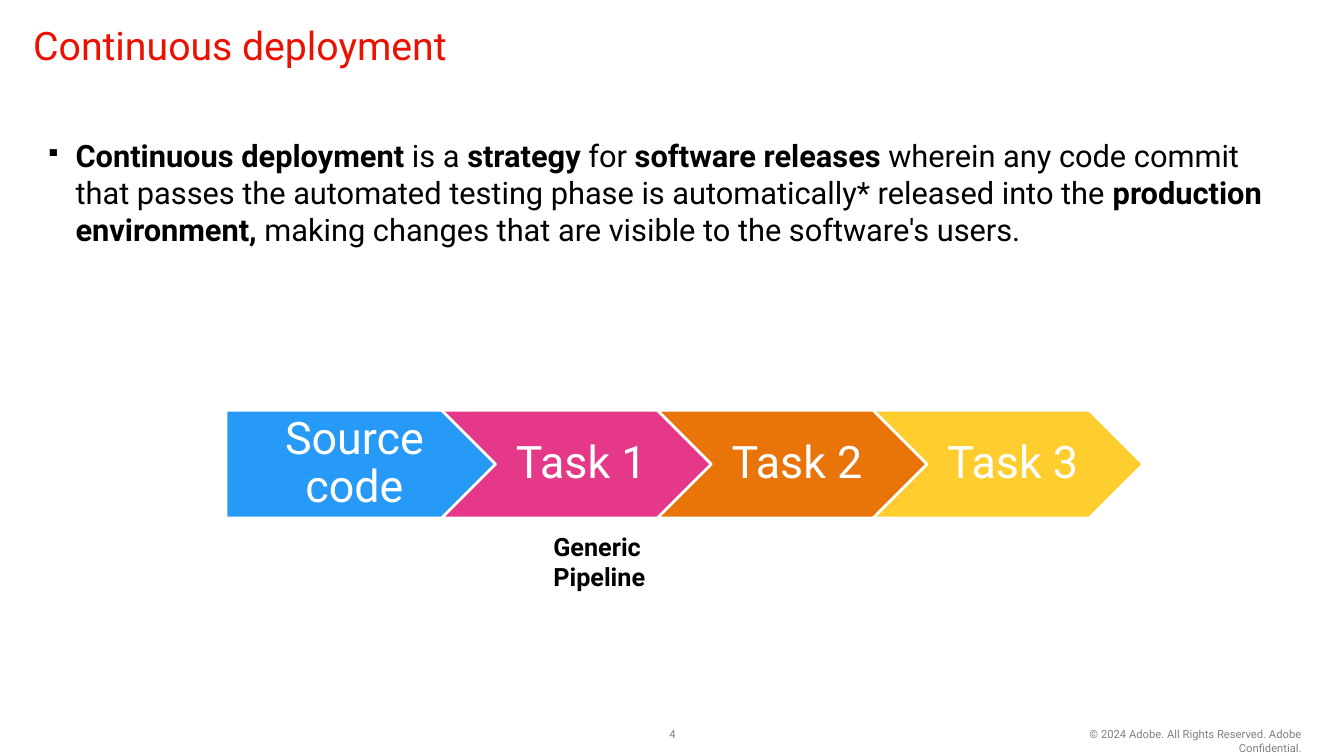
from dataclasses import dataclass

from lxml.etree import SubElement
from pptx import Presentation
from pptx.dml.color import RGBColor
from pptx.enum.shapes import MSO_SHAPE
from pptx.enum.text import MSO_ANCHOR, PP_ALIGN
from pptx.oxml.ns import qn
from pptx.util import Emu, Pt

PX = 9144  # 100 px to the inch


@dataclass(frozen=True)
class Theme:
    font: str = "Roboto"
    red: str = "EB1000"
    black: str = "000000"
    white: str = "FFFFFF"
    grey: str = "808080"
    stages: tuple = ("2799F6", "E63888", "E9740A", "FFCE2E")
    title_size: int = 28
    body_size: int = 22
    stage_size: int = 32
    caption_size: int = 18
    footer_size: int = 8


THEME = Theme()


def px(length):
    return Emu(length * PX)


def apply(target, values):
    for name, value in values.items():
        setattr(target, name, value)


def set_margins(frame, left, top, right, bottom):
    apply(frame, {
        "margin_left": px(left), "margin_top": px(top),
        "margin_right": px(right), "margin_bottom": px(bottom),
    })


def add_span(para, text, size, color, bold=False):
    span = para.add_run()
    span.text = text
    apply(span.font, {"name": THEME.font, "size": Pt(size), "bold": bold})
    span.font.color.rgb = RGBColor.from_string(color)


def add_text(page, place, spans, size, color, margins=(10, 5, 10, 5),
             anchor=MSO_ANCHOR.TOP, align=PP_ALIGN.LEFT):
    """Add a text box from (text, bold) spans and return its paragraph."""
    box = page.shapes.add_textbox(*map(px, place))
    frame = box.text_frame
    apply(frame, {"word_wrap": True, "vertical_anchor": anchor})
    set_margins(frame, *margins)
    para = frame.paragraphs[0]
    para.alignment = align
    for text, bold in spans:
        add_span(para, text, size, color, bold)
    return para


def add_bullet(para, mark, indent, percent, color):
    properties = para._p.get_or_add_pPr()
    properties.set("marL", str(px(indent)))
    properties.set("indent", str(-px(indent)))
    bullet_color = SubElement(properties, qn("a:buClr"))
    SubElement(bullet_color, qn("a:srgbClr"), val=color)
    SubElement(properties, qn("a:buSzPct"), val=str(percent * 1000))
    SubElement(properties, qn("a:buChar"), char=mark)


def add_stage(page, preset, place, label, fill, left_margin):
    stage = page.shapes.add_shape(preset, *map(px, place))
    stage.shadow.inherit = False
    stage.fill.solid()
    stage.fill.fore_color.rgb = RGBColor.from_string(fill)
    stage.line.color.rgb = RGBColor.from_string(THEME.white)
    stage.line.width = Pt(2)
    frame = stage.text_frame
    apply(frame, {"word_wrap": True, "vertical_anchor": MSO_ANCHOR.MIDDLE})
    set_margins(frame, left_margin, 9, 5, 9)
    para = frame.paragraphs[0]
    apply(para, {"alignment": PP_ALIGN.CENTER, "line_spacing": 0.9})
    add_span(para, label, THEME.stage_size, THEME.white)


def add_pipeline(page, labels):
    left, top, width, height, pitch = 224, 407, 268, 107, 214
    for index, (label, fill) in enumerate(zip(labels, THEME.stages)):
        first = index == 0
        preset = MSO_SHAPE.PENTAGON if first else MSO_SHAPE.CHEVRON
        place = (left + index * pitch, top, width, height)
        add_stage(page, preset, place, label, fill, 19 if first else 14)


def main():
    deck = Presentation()
    apply(deck, {"slide_width": px(1333), "slide_height": px(750)})
    page = deck.slides.add_slide(deck.slide_layouts[6])

    # Title
    add_text(page, (28, 22, 1266, 45), [("Continuous deployment", False)],
             THEME.title_size, THEME.red, (5, 5, 5, 5), MSO_ANCHOR.MIDDLE)

    # Definition
    definition = add_text(page, (33, 130, 1237, 174), [
        ("Continuous deployment", True),
        (" is a ", False),
        ("strategy ", True),
        ("for ", False),
        ("software releases", True),
        (" wherein any code commit that passes the automated testing phase "
         "is automatically* released into the ", False),
        ("production environment,", True),
        (" making changes that are visible to the software's users.", False),
    ], THEME.body_size, THEME.black, (12, 6, 12, 6))
    add_bullet(definition, "▪", 30, 70, THEME.black)

    # Pipeline and its caption
    add_pipeline(page, ("Source code", "Task 1", "Task 2", "Task 3"))
    add_text(page, (539, 522, 194, 40), [("Generic Pipeline", True)],
             THEME.caption_size, THEME.black)

    # Footer
    add_text(page, (636, 719, 62, 18), [("4", False)], THEME.footer_size,
             THEME.grey, (12, 6, 12, 6), MSO_ANCHOR.MIDDLE, PP_ALIGN.CENTER)
    add_text(page, (1017, 717, 284, 30),
             [("© 2024 Adobe. All Rights Reserved. Adobe Confidential.", False)],
             THEME.footer_size, THEME.grey, align=PP_ALIGN.RIGHT)

    deck.save("out.pptx")


if __name__ == "__main__":
    main()
